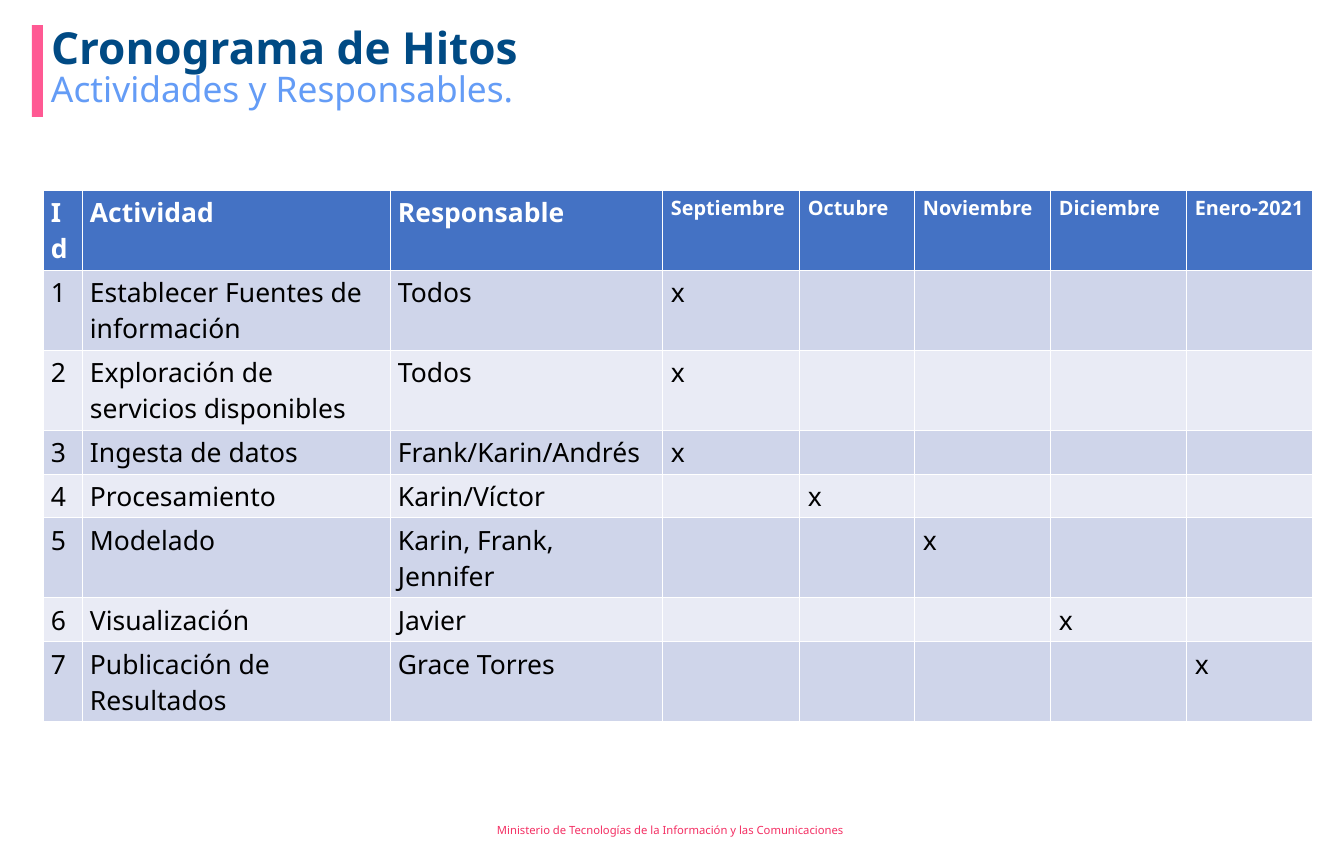
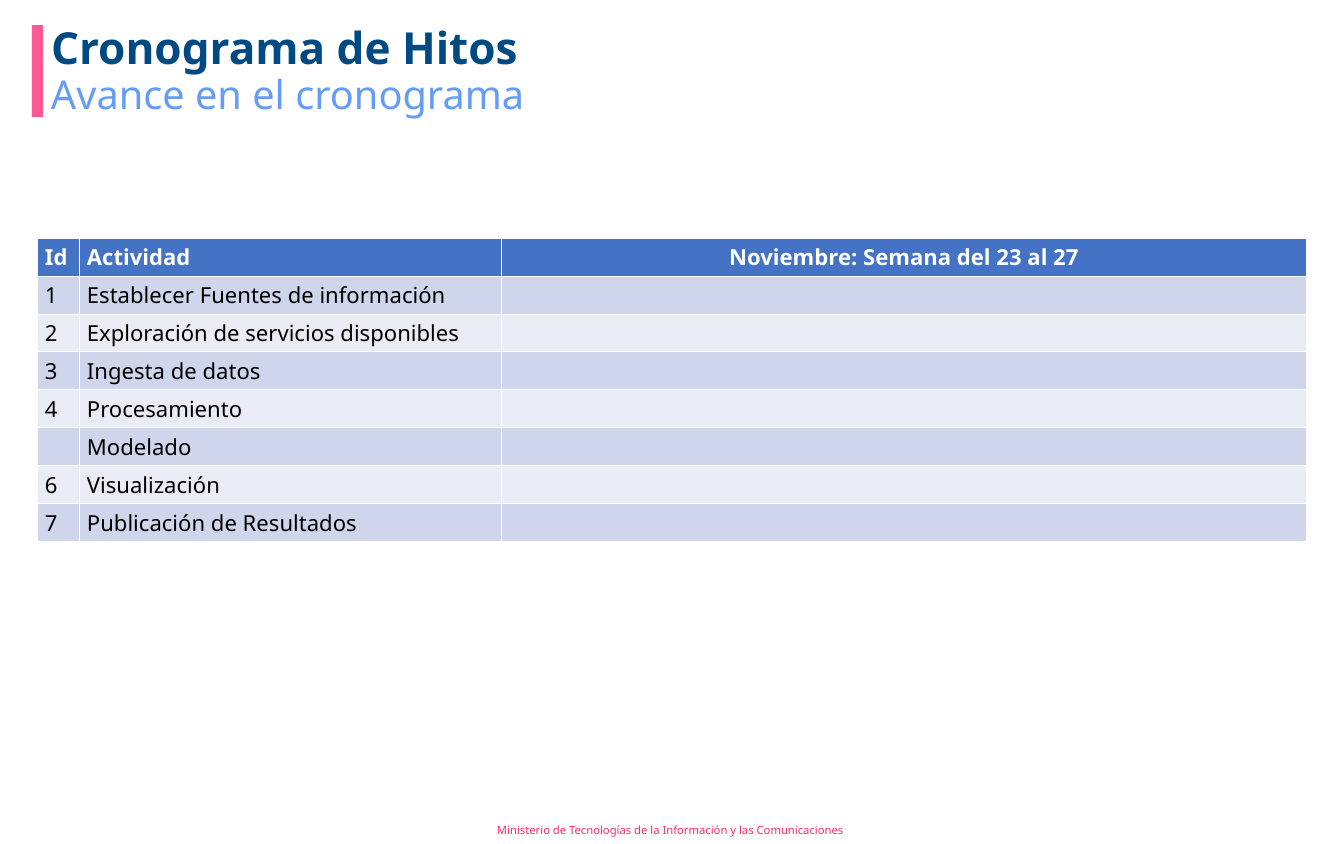
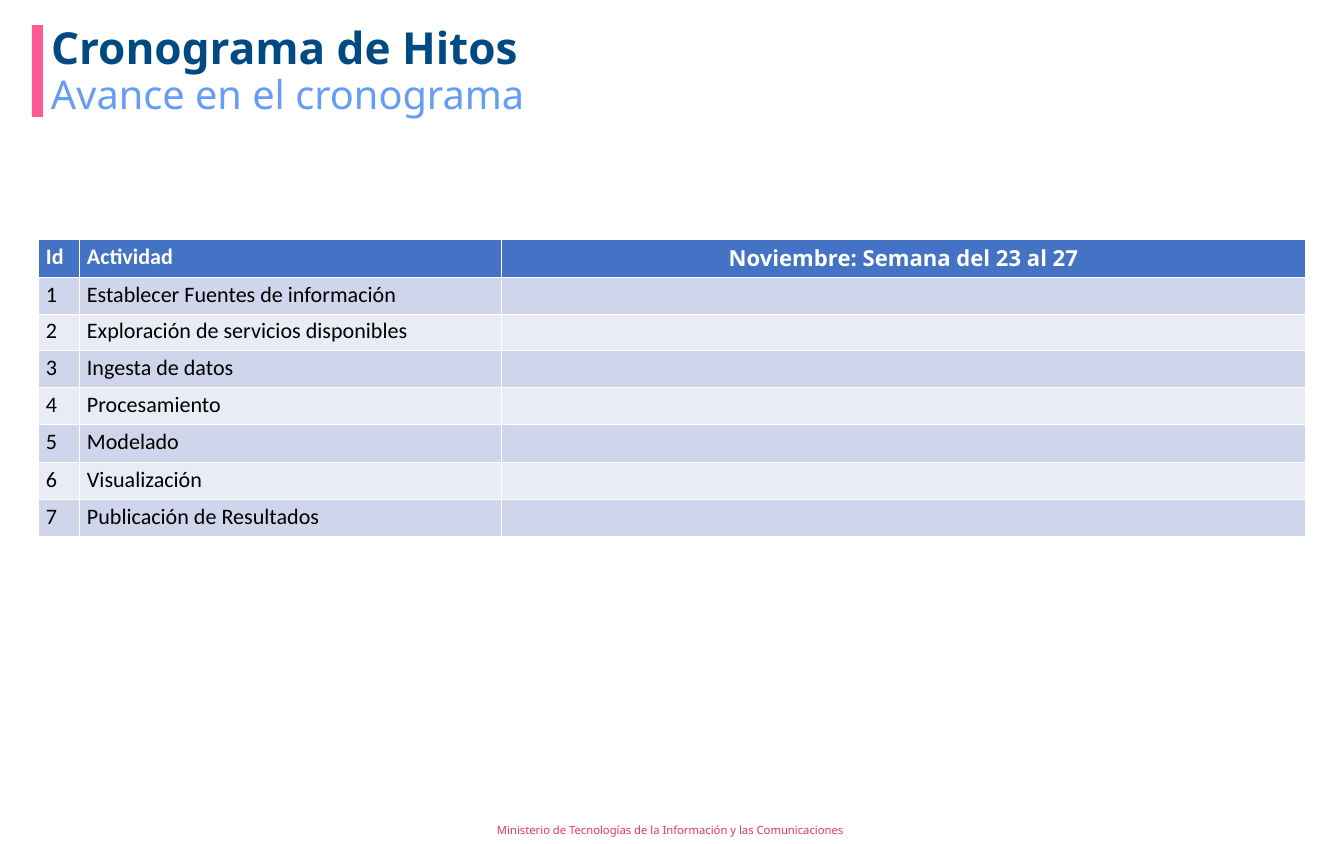
import pptx
import pptx.dml.color
import pptx.enum.shapes
import pptx.enum.text
import pptx.util

EMU_PER_PX = 914400 / 79.4
SANS = "Noto Sans"
CALIBRI = "Calibri"
WHITE = pptx.dml.color.RGBColor(0xFF, 0xFF, 0xFF)
BLACK = pptx.dml.color.RGBColor(0x00, 0x00, 0x00)
PINK = pptx.dml.color.RGBColor(0xFF, 0x59, 0x93)
MAGENTA = pptx.dml.color.RGBColor(0xF4, 0x2F, 0x63)
NAVY = pptx.dml.color.RGBColor(0x00, 0x4A, 0x84)
SKY = pptx.dml.color.RGBColor(0x64, 0x9C, 0xF6)
HEADER_BLUE = pptx.dml.color.RGBColor(0x44, 0x72, 0xC4)
BANDS = (
    pptx.dml.color.RGBColor(0xCF, 0xD5, 0xEA),
    pptx.dml.color.RGBColor(0xE9, 0xEB, 0xF5),
)

MONTHS = ["Septiembre", "Octubre", "Noviembre", "Diciembre", "Enero-2021"]
MILESTONES = [
    ("Establecer Fuentes de información", "Todos", "Septiembre"),
    ("Exploración de servicios disponibles", "Todos", "Septiembre"),
    ("Ingesta de datos", "Frank/Karin/Andrés", "Septiembre"),
    ("Procesamiento", "Karin/Víctor", "Octubre"),
    ("Modelado", "Karin, Frank, Jennifer", "Noviembre"),
    ("Visualización", "Javier", "Diciembre"),
    ("Publicación de Resultados", "Grace Torres", "Enero-2021"),
]


def px(length):
    """Turn px into EMU."""
    return pptx.util.Emu(round(length * EMU_PER_PX))


def style_text(paragraph, size, color, bold=False, font=SANS):
    """Format every run of a paragraph."""
    for run in paragraph.runs:
        run.font.name = font
        run.font.size = pptx.util.Pt(size)
        run.font.bold = bold
        run.font.color.rgb = color


def add_text(slide, box, text, size, color, bold=False, spacing=0.9, top=1,
             anchor=pptx.enum.text.MSO_ANCHOR.TOP):
    """Place one line of text in a box."""
    frame = slide.shapes.add_textbox(*map(px, box)).text_frame
    frame.word_wrap = True
    frame.vertical_anchor = anchor
    frame.margin_top = frame.margin_bottom = px(top)
    frame.margin_left = frame.margin_right = px(8)
    frame.text = text
    frame.paragraphs[0].line_spacing = spacing
    style_text(frame.paragraphs[0], size, color, bold)


def add_page(deck, subtitle, subtitle_top, subtitle_size):
    """Add a slide with the shared bar, title, subtitle and footer."""
    slide = deck.slides.add_slide(deck.slide_layouts[6])
    bar = slide.shapes.add_shape(
        pptx.enum.shapes.MSO_SHAPE.RECTANGLE, *map(px, (32, 25, 11, 92)))
    bar.shadow.inherit = False
    bar.fill.solid()
    bar.fill.fore_color.rgb = PINK
    bar.line.fill.background()
    add_text(slide, (489, 816, 365, 28),
             "Ministerio de Tecnologías de la Información y las Comunicaciones",
             10.2, MAGENTA, spacing=1.0, top=4,
             anchor=pptx.enum.text.MSO_ANCHOR.MIDDLE)
    add_text(slide, (43, 25, 1270, 44), "Cronograma de Hitos", 40, NAVY, bold=True)
    add_text(slide, (43, subtitle_top, 1039, 60), subtitle, subtitle_size, SKY)
    return slide


def add_schedule(slide, left, top, widths, heights, rows, size, font=SANS):
    """Place a banded table with a blue header and return it."""
    schedule = slide.shapes.add_table(
        len(rows), len(widths), px(left), px(top),
        px(sum(widths)), px(sum(heights))).table
    for column, width in zip(schedule.columns, widths):
        column.width = px(width)
    for row_index, (row, height, values) in enumerate(
            zip(schedule.rows, heights, rows)):
        row.height = px(height)
        is_header = row_index == 0
        for cell, value in zip(row.cells, values):
            cell.fill.solid()
            cell.fill.fore_color.rgb = (
                HEADER_BLUE if is_header else BANDS[(row_index - 1) % 2])
            cell.text_frame.text = value
            style_text(cell.text_frame.paragraphs[0], size,
                       WHITE if is_header else BLACK, is_header, font)
    return schedule


def build_responsibilities(deck):
    """Build the slide of activities, people and months."""
    slide = add_page(deck, "Actividades y Responsables.", 71, 32)
    rows = [["Id", "Actividad", "Responsable", *MONTHS]]
    for number, (activity, people, due) in enumerate(MILESTONES, 1):
        marks = ["x" if month == due else "" for month in MONTHS]
        rows.append([str(number), activity, people, *marks])
    schedule = add_schedule(
        slide, 43, 190, [39, 308, 273, 137, 115, 136, 136, 126],
        [80, 80, 80, 44, 44, 80, 44, 80], rows, 24)
    for column in range(3, 3 + len(MONTHS)):
        month = schedule.cell(0, column).text_frame.paragraphs[0]
        style_text(month, 18, WHITE, bold=True)


def build_progress(deck, left, top, widths, heights, font=SANS, unnumbered=()):
    """Build a slide of weekly progress."""
    slide = add_page(deck, "Avance en el cronograma", 74, 36)
    rows = [["Id", "Actividad", "Noviembre: Semana del 23 al 27"]]
    for number, (activity, _, _) in enumerate(MILESTONES, 1):
        rows.append(["" if number in unnumbered else str(number), activity, ""])
    schedule = add_schedule(slide, left, top, widths, heights, rows, 20, font)
    week = schedule.cell(0, 2).text_frame.paragraphs[0]
    week.alignment = pptx.enum.text.PP_ALIGN.CENTER
    style_text(week, 20, WHITE, bold=True)


def main():
    """Build and save the deck."""
    deck = pptx.Presentation()
    deck.slide_width, deck.slide_height = px(1344), px(844)
    build_responsibilities(deck)
    build_progress(deck, 37, 238, [42, 422, 806], [38] * 8, unnumbered=(5,))
    build_progress(deck, 38, 239, [41, 422, 805],
                   [38, 37, 37, 37, 37, 38, 37, 37], font=CALIBRI)
    deck.save("out.pptx")


if __name__ == "__main__":
    main()
